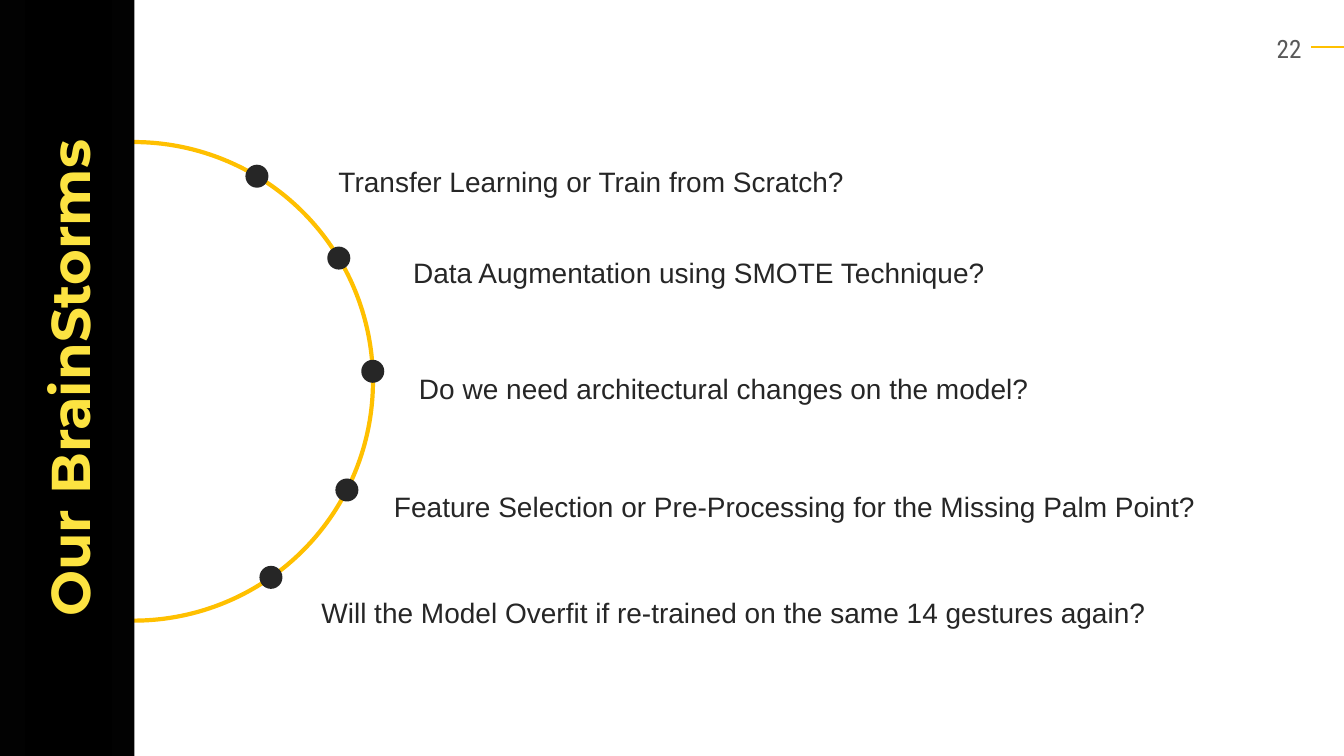
import math

import lxml.etree
import pptx
import pptx.dml.color
import pptx.enum.shapes
import pptx.enum.text
import pptx.oxml.ns
import pptx.util

Cm, Pt = pptx.util.Cm, pptx.util.Pt
SHAPES = pptx.enum.shapes.MSO_SHAPE
ALIGN = pptx.enum.text.PP_ALIGN
ANCHOR = pptx.enum.text.MSO_ANCHOR

# Content: question, angle of its dot on the ring, left, top and width in cm
TITLE = "Our BrainStorms"
PAGE = "22"
QUESTIONS = [
    ("Transfer Learning or Train from Scratch?", -59, 8.28, 3.61, 14.88),
    ("Data Augmentation using SMOTE Technique?", -31, 10.16, 5.89, 17.17),
    ("Do we need architectural changes on the model?", -2.4, 10.31, 8.81, 23.06),
    ("Feature Selection or Pre-Processing for the Missing Palm Point?", 27, 9.68, 11.79, 23.06),
    ("Will the Model Overfit if re-trained on the same 14 gestures again?", 55, 7.85, 14.45, 22.58),
]

THEME = {
    "accent": "FFC000", "title": "FCE341", "ink": "262626", "page": "595959",
    "bar": "020202", "band": "000000",
    "title_size": 39, "question_size": 20, "page_size": 18,
    "title_font": "Montserrat", "question_font": "Arial", "page_font": "Roboto Condensed",
}

# Layout in cm
SLIDE_W, SLIDE_H = 33.87, 19.05
BAR_W, BAND_H = 3.39, 2.18
BAND_X, BAND_Y = 1.73, 9.53
RING_X, RING_Y, RING_R = 3.37, 9.61, 6.03
DOT_R = 0.29
QUESTION_H = 1.1
PAGE_LINE_X, PAGE_LINE_Y = 33.05, 1.19

deck = pptx.Presentation()
deck.slide_width, deck.slide_height = Cm(SLIDE_W), Cm(SLIDE_H)
slide = deck.slides.add_slide(deck.slide_layouts[6])


def color(role):
    return pptx.dml.color.RGBColor.from_string(THEME[role])


def add_figure(kind, left, top, width, height, fill=None):
    figure = slide.shapes.add_shape(kind, Cm(left), Cm(top), Cm(width), Cm(height))
    figure.shadow.inherit = False
    figure.line.fill.background()
    if fill:
        figure.fill.solid()
        figure.fill.fore_color.rgb = color(fill)
    else:
        figure.fill.background()
    return figure


def add_disc(x, y, radius, fill=None):
    return add_figure(SHAPES.OVAL, x - radius, y - radius, 2 * radius, 2 * radius, fill)


def write(holder, text, style, ink, align=ALIGN.LEFT, spacing=1.0, bold=False):
    frame = holder.text_frame
    frame.word_wrap = True
    paragraph = frame.paragraphs[0]
    paragraph.alignment = align
    paragraph.line_spacing = spacing
    run = paragraph.add_run()
    run.text = text
    run.font.name = THEME[style + "_font"]
    run.font.size = Pt(THEME[style + "_size"])
    run.font.color.rgb = color(ink)
    run.font.bold = bold
    return frame


def add_text(left, top, width, height, *args, **options):
    box = slide.shapes.add_textbox(Cm(left), Cm(top), Cm(width), Cm(height))
    write(box, *args, **options).vertical_anchor = ANCHOR.TOP


# Page number and its line
page_line = slide.shapes.add_connector(
    pptx.enum.shapes.MSO_CONNECTOR.STRAIGHT,
    Cm(SLIDE_W), Cm(PAGE_LINE_Y), Cm(PAGE_LINE_X), Cm(PAGE_LINE_Y))
page_line.line.color.rgb = color("accent")
page_line.line.width = Pt(1.5)
lxml.etree.SubElement(page_line._element.spPr, pptx.oxml.ns.qn("a:effectLst"))
add_text(30.91, 0.71, 2.14, 0.89, PAGE, "page", "page", align=ALIGN.RIGHT)

# Ring, half covered by the bar
ring = add_disc(RING_X, RING_Y, RING_R)
ring.line.color.rgb = color("accent")
ring.line.width = Pt(3)

# Side bar with the upright title
add_figure(SHAPES.RECTANGLE, 0, 0, BAR_W, SLIDE_H, "bar")
band = add_figure(SHAPES.RECTANGLE, BAND_X - SLIDE_H / 2, BAND_Y - BAND_H / 2,
                  SLIDE_H, BAND_H, "band")
band.rotation = 270
write(band, TITLE, "title", "title", align=ALIGN.CENTER,
      bold=True).vertical_anchor = ANCHOR.MIDDLE

# Dots on the ring and their questions
for question, angle, left, top, width in QUESTIONS:
    turn = math.radians(angle)
    add_disc(RING_X + RING_R * math.cos(turn), RING_Y + RING_R * math.sin(turn), DOT_R, "ink")
    add_text(left, top, width, QUESTION_H, question, "question", "ink", spacing=1.5)

deck.save("out.pptx")
